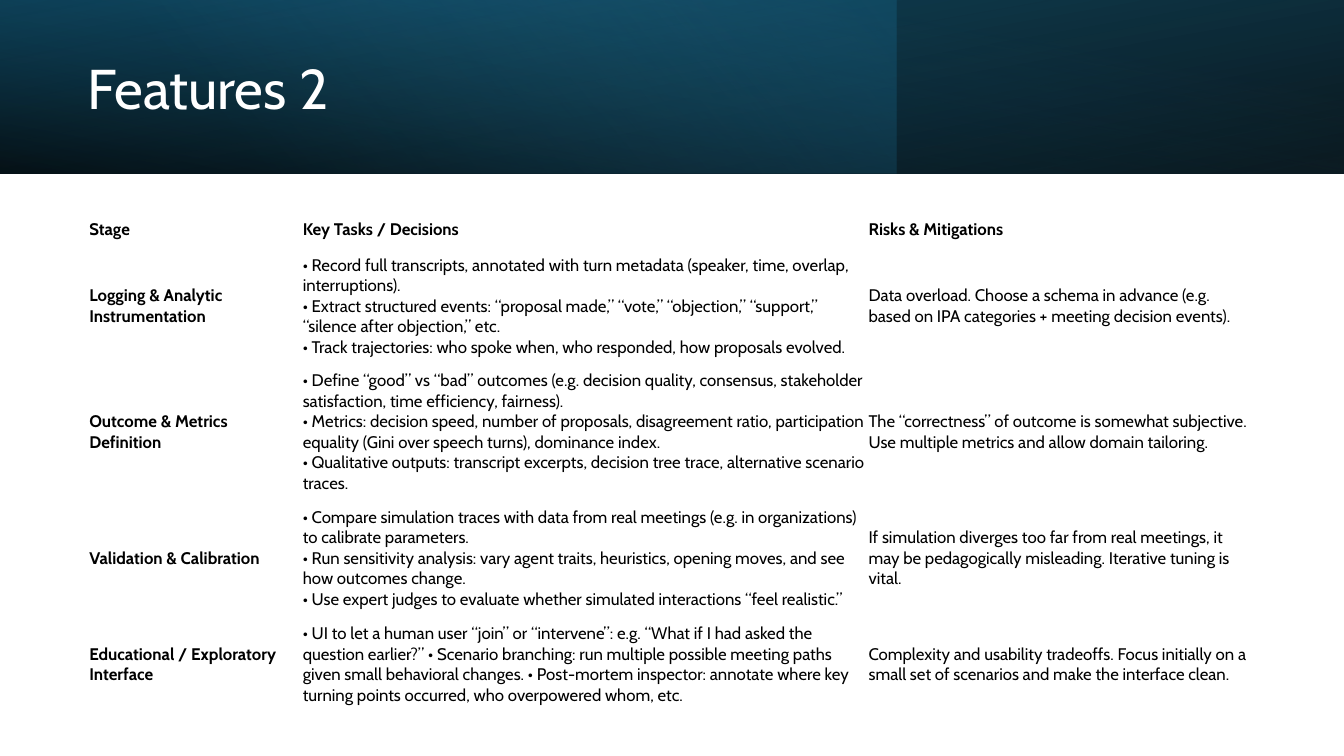
from dataclasses import dataclass

from lxml import etree
from pptx import Presentation
from pptx.dml.color import RGBColor
from pptx.enum.shapes import MSO_SHAPE
from pptx.enum.text import MSO_ANCHOR, PP_ALIGN
from pptx.oxml.ns import qn
from pptx.util import Cm, Pt

RECTANGLE = MSO_SHAPE.RECTANGLE
MIDDLE = MSO_ANCHOR.MIDDLE
LEFT = PP_ALIGN.LEFT
TITLE_ONLY = 5


@dataclass(frozen=True)
class Theme:
    font: str = "Cabin"
    title_size: int = 40
    table_size: int = 12
    black: str = "000000"
    white: str = "FFFFFF"
    navy: str = "104862"
    teal: str = "156082"
    sky: str = "46B1E1"


THEME = Theme()
PAGE_WIDTH, PAGE_HEIGHT = 33.87, 19.05
BANNER_HEIGHT = 4.38

BANNER_LAYERS = [
    dict(width=PAGE_WIDTH, angle=100, rotation=180, flip=True,
         stops=[(0, THEME.black, 96), (100, THEME.navy, 100)]),
    dict(width=22.58, angle=140,
         stops=[(0, THEME.teal, 41), (74, THEME.sky, 0)]),
    dict(width=PAGE_WIDTH, angle=260, flip=True,
         stops=[(0, THEME.black, 63), (78, THEME.teal, 15)]),
]

COLUMN_WIDTHS = [5.38, 14.26, 9.8]
ROW_HEIGHTS = [0.66, 3.18, 3.18, 3.18, 2.16]
STAGES = [
    ("Stage", ["Key Tasks / Decisions"], "Risks & Mitigations"),
    ("Logging & Analytic Instrumentation",
     ["• Record full transcripts, annotated with turn metadata (speaker, time, overlap, interruptions).",
      "• Extract structured events: “proposal made,” “vote,” “objection,” “support,” "
      "“silence after objection,” etc.",
      "• Track trajectories: who spoke when, who responded, how proposals evolved."],
     "Data overload. Choose a schema in advance (e.g. based on IPA categories + meeting decision events)."),
    ("Outcome & Metrics Definition",
     ["• Define “good” vs “bad” outcomes (e.g. decision quality, consensus, stakeholder satisfaction, "
      "time efficiency, fairness).",
      "• Metrics: decision speed, number of proposals, disagreement ratio, participation equality "
      "(Gini over speech turns), dominance index.",
      "• Qualitative outputs: transcript excerpts, decision tree trace, alternative scenario traces."],
     "The “correctness” of outcome is somewhat subjective. Use multiple metrics and allow domain tailoring."),
    ("Validation & Calibration",
     ["• Compare simulation traces with data from real meetings (e.g. in organizations) "
      "to calibrate parameters.",
      "• Run sensitivity analysis: vary agent traits, heuristics, opening moves, and see "
      "how outcomes change.",
      "• Use expert judges to evaluate whether simulated interactions “feel realistic.”"],
     "If simulation diverges too far from real meetings, it may be pedagogically misleading. "
     "Iterative tuning is vital."),
    ("Educational / Exploratory Interface",
     ["• UI to let a human user “join” or “intervene”: e.g. “What if I had asked the question earlier?” "
      "• Scenario branching: run multiple possible meeting paths given small behavioral changes. "
      "• Post-mortem inspector: annotate where key turning points occurred, who overpowered whom, etc."],
     "Complexity and usability tradeoffs. Focus initially on a small set of scenarios "
     "and make the interface clean."),
]


def write_text(frame, lines, *, font, size, color, bold=False, spacing=None):
    for index, line in enumerate(lines):
        para = frame.paragraphs[0] if index == 0 else frame.add_paragraph()
        para.alignment = LEFT
        if spacing:
            para.line_spacing = spacing
        span = para.add_run()
        span.text = line
        span.font.name = font
        span.font.size = Pt(size)
        span.font.bold = bold
        span.font.color.rgb = RGBColor.from_string(color)


class SlideBuilder:
    def __init__(self, deck, theme):
        self.theme = theme
        self.page = deck.slides.add_slide(deck.slide_layouts[TITLE_ONLY])

    def banner_layer(self, width, angle, stops, rotation=0, flip=False):
        box = self.page.shapes.add_shape(RECTANGLE, 0, 0, Cm(width), Cm(BANNER_HEIGHT))
        box.shadow.inherit = False
        box.line.fill.background()
        box.rotation = rotation
        properties = box.element.spPr
        frame = properties.find(qn("a:xfrm"))
        if flip:
            frame.set("flipH", "1")
        gradient = etree.Element(qn("a:gradFill"), rotWithShape="1")
        stop_list = etree.SubElement(gradient, qn("a:gsLst"))
        for position, color, opacity in stops:
            stop = etree.SubElement(stop_list, qn("a:gs"), pos=str(position * 1000))
            shade = etree.SubElement(stop, qn("a:srgbClr"), val=color)
            etree.SubElement(shade, qn("a:alpha"), val=str(opacity * 1000))
        etree.SubElement(gradient, qn("a:lin"), ang=str(angle * 60000), scaled="0")
        properties.find(qn("a:prstGeom")).addnext(gradient)

    def title(self, text, left, top, width, height):
        box = self.page.shapes.title
        box.left, box.top, box.width, box.height = map(Cm, (left, top, width, height))
        box.text_frame.vertical_anchor = MIDDLE
        write_text(box.text_frame, [text], font=self.theme.font, size=self.theme.title_size,
                   color=self.theme.white, spacing=0.9)
        box.element.getparent().append(box.element)

    def table(self, rows, left, top, widths, heights):
        table = self.page.shapes.add_table(
            len(rows), len(widths), Cm(left), Cm(top), Cm(sum(widths)), Cm(sum(heights))).table
        table.first_row = table.horz_banding = False
        for column, width in zip(table.columns, widths):
            column.width = Cm(width)
        for row, height in zip(table.rows, heights):
            row.height = Cm(height)
        for row_index, (stage, tasks, risks) in enumerate(rows):
            for column_index, lines in enumerate(([stage], tasks, [risks])):
                self.cell(table.cell(row_index, column_index), lines,
                          bold=row_index == 0 or column_index == 0)

    def cell(self, cell, lines, bold):
        cell.fill.background()
        cell.vertical_anchor = MIDDLE
        cell.margin_left = cell.margin_right = Cm(0.04)
        cell.margin_top = cell.margin_bottom = Cm(0.03)
        write_text(cell.text_frame, lines, font=self.theme.font, size=self.theme.table_size,
                   color=self.theme.black, bold=bold)


def main():
    deck = Presentation()
    deck.slide_width, deck.slide_height = Cm(PAGE_WIDTH), Cm(PAGE_HEIGHT)
    builder = SlideBuilder(deck, THEME)
    for layer in BANNER_LAYERS:
        builder.banner_layer(**layer)
    builder.title("Features 2", 1.96, 0.69, 19.61, 3.23)
    builder.table(STAGES, 2.21, 5.46, COLUMN_WIDTHS, ROW_HEIGHTS)
    deck.save("out.pptx")


if __name__ == "__main__":
    main()
